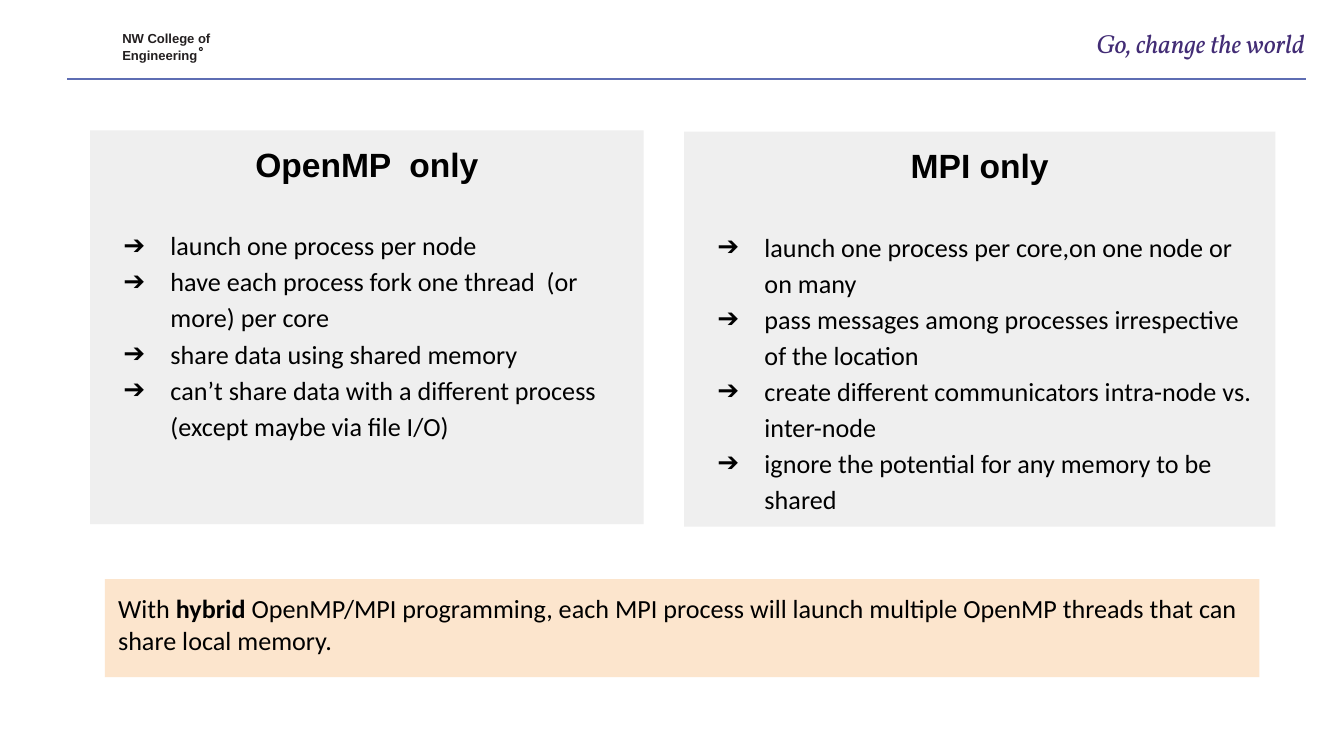
from dataclasses import dataclass

from lxml import etree
from pptx import Presentation
from pptx.dml.color import RGBColor
from pptx.enum.shapes import MSO_CONNECTOR, MSO_SHAPE
from pptx.enum.text import MSO_ANCHOR, MSO_AUTO_SIZE, PP_ALIGN
from pptx.oxml.ns import qn
from pptx.util import Inches, Pt

RECT, RING = MSO_SHAPE.RECTANGLE, MSO_SHAPE.DONUT
LINE = MSO_CONNECTOR.STRAIGHT
TOP = MSO_ANCHOR.TOP
FIXED = MSO_AUTO_SIZE.NONE
LEFT, CENTER, RIGHT = PP_ALIGN.LEFT, PP_ALIGN.CENTER, PP_ALIGN.RIGHT


@dataclass(frozen=True)
class Font:
    name: str
    size: float
    color: str = "000000"
    bold: bool = False
    italic: bool = False


@dataclass(frozen=True)
class Theme:
    rule: str = "5E6DB3"
    mark: str = "231F20"
    panel: str = "EFEFEF"
    note: str = "FCE5CD"
    motto: Font = Font("Vollkorn", 14, "422C75", italic=True)
    school: Font = Font("Arial", 7, "231F20", bold=True)
    head: Font = Font("Arial", 18, bold=True)
    body: Font = Font("Calibri", 14)
    strong: Font = Font("Calibri", 14, bold=True)


@dataclass(frozen=True)
class Box:
    left: float
    top: float
    width: float
    height: float

    def place(self) -> tuple:
        return tuple(map(Inches, (self.left, self.top, self.width, self.height)))


@dataclass(frozen=True)
class Panel:
    box: Box
    head: str
    items: tuple[str, ...]


THEME = Theme()
PANELS = (
    Panel(Box(0.67, 0.97, 4.12, 2.93), "OpenMP  only", (
        "launch one process per node",
        "have each process fork one thread  (or more) per core",
        "share data using shared memory",
        "can’t share data with a different process (except maybe via file I/O)",
    )),
    Panel(Box(5.09, 0.98, 4.4, 2.94), "MPI only", (
        "launch one process per core,on one node or on many",
        "pass messages among processes irrespective of the location",
        "create different communicators intra-node vs. inter-node",
        "ignore the potential for any memory to be shared",
    )),
)
NOTE = (
    ("With ", THEME.body),
    ("hybrid", THEME.strong),
    (" OpenMP/MPI programming, each MPI process will launch multiple OpenMP"
     " threads that can share local memory.", THEME.body),
)


def style(run, font: Font) -> None:
    run.font.name = font.name
    run.font.size = Pt(font.size)
    run.font.bold = font.bold
    run.font.italic = font.italic
    run.font.color.rgb = RGBColor.from_string(font.color)


def setup(frame, inset: float) -> None:
    frame.word_wrap = True
    frame.auto_size = FIXED
    frame.vertical_anchor = TOP
    frame.margin_left = frame.margin_right = Inches(inset)
    frame.margin_top = frame.margin_bottom = Inches(inset)


def write(frame, text: str, font: Font, align=LEFT, space: float = 1) -> None:
    frame.text = text
    for para in frame.paragraphs:
        para.alignment = align
        para.line_spacing = space
        for run in para.runs:
            style(run, font)


def block(slide, kind, box: Box, color: str):
    shape = slide.shapes.add_shape(kind, *box.place())
    shape.shadow.inherit = False
    shape.fill.solid()
    shape.fill.fore_color.rgb = RGBColor.from_string(color)
    shape.line.fill.background()
    return shape


def bullet(para, font: Font) -> None:
    props = para._p.get_or_add_pPr()
    props.set("marL", str(Inches(0.5)))
    props.set("indent", str(-Inches(0.35)))
    tint = etree.SubElement(props, qn("a:buClr"))
    etree.SubElement(tint, qn("a:srgbClr")).set("val", font.color)
    etree.SubElement(props, qn("a:buFont")).set("typeface", font.name)
    etree.SubElement(props, qn("a:buChar")).set("char", "➔")


def draw_panel(slide, panel: Panel) -> None:
    frame = block(slide, RECT, panel.box, THEME.panel).text_frame
    setup(frame, 0.1)
    write(frame, panel.head, THEME.head, CENTER)
    frame.paragraphs[0].space_after = Pt(22)
    for item in panel.items:
        para = frame.add_paragraph()
        para.text = item
        para.alignment = LEFT
        para.line_spacing = 1.15
        style(para.runs[0], THEME.body)
        bullet(para, THEME.body)


def draw_rule(slide) -> None:
    y = Inches(0.59)
    rule = slide.shapes.add_connector(LINE, Inches(0.5), y, Inches(9.72), y)
    rule.line.color.rgb = RGBColor.from_string(THEME.rule)
    rule.line.width = Pt(1.25)
    etree.SubElement(rule._element.spPr, qn("a:effectLst"))


def draw_school(slide) -> None:
    box = Box(0.91, 0.22, 0.68, 0.24)
    frame = slide.shapes.add_textbox(*box.place()).text_frame
    setup(frame, 0)
    write(frame, "NW College of\nEngineering", THEME.school, space=1.06)
    block(slide, RING, Box(1.48, 0.35, 0.03, 0.03), THEME.mark)


def draw_note(slide) -> None:
    box = Box(0.78, 4.31, 8.59, 0.73)
    frame = block(slide, RECT, box, THEME.note).text_frame
    setup(frame, 0.1)
    para = frame.paragraphs[0]
    para.alignment = LEFT
    for text, font in NOTE:
        run = para.add_run()
        run.text = text
        style(run, font)


def main() -> None:
    deck = Presentation()
    deck.slide_width = Inches(10)
    deck.slide_height = deck.slide_width * 9 // 16
    slide = deck.slides.add_slide(deck.slide_layouts[5])

    # Header: motto, rule and school name
    title = slide.shapes.title
    title.left, title.top, title.width, title.height = Box(7.88, 0.2, 1.83, 0.23).place()
    setup(title.text_frame, 0)
    write(title.text_frame, "Go, change the world", THEME.motto, RIGHT)
    draw_rule(slide)
    draw_school(slide)

    # The two approaches side by side
    for panel in PANELS:
        draw_panel(slide, panel)

    # Hybrid summary
    draw_note(slide)
    deck.save("out.pptx")


if __name__ == "__main__":
    main()
